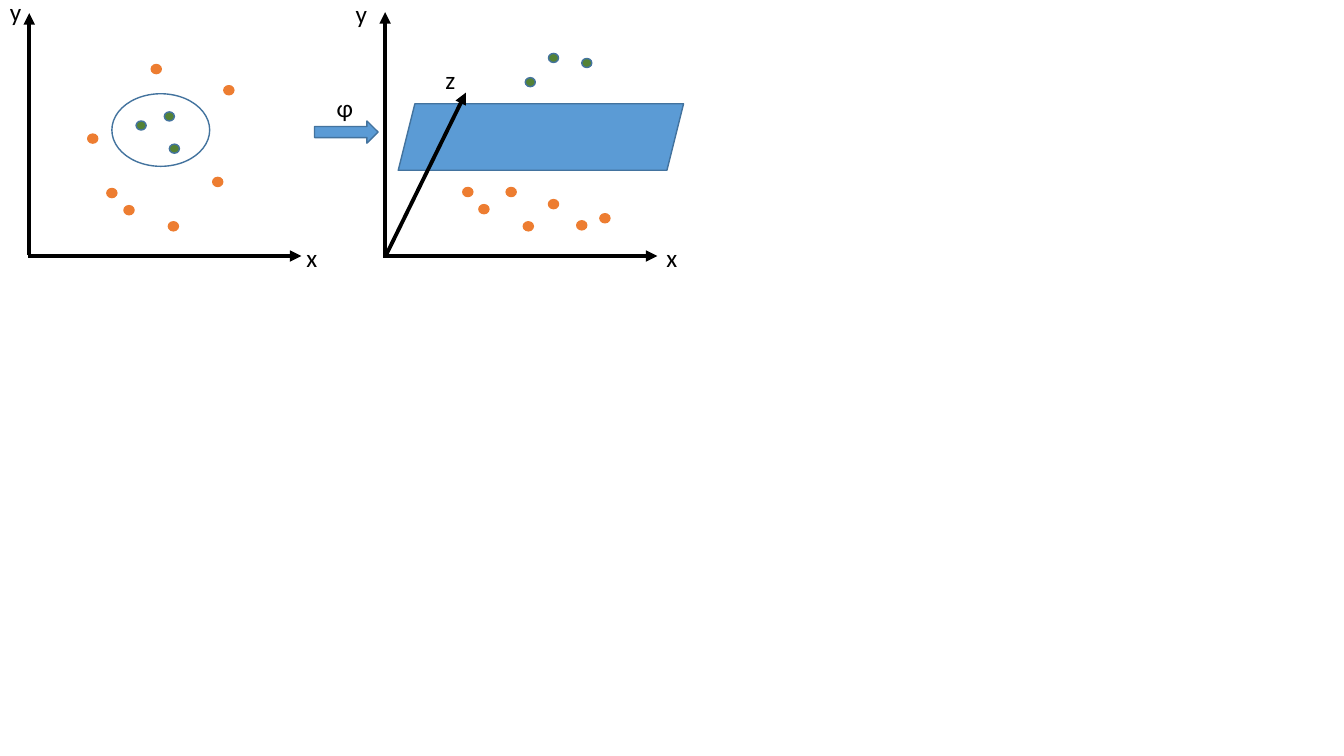
import pptx
import pptx.dml.color
import pptx.enum.shapes
import pptx.enum.text
import pptx.oxml
import pptx.oxml.ns
import pptx.util
from pptx.util import Inches

BLACK, BLUE, EDGE, GREEN, ORANGE = "000000", "5B9BD5", "43739E", "548235", "ED7D31"
FONT = "Calibri"
DOT_WIDTH, DOT_HEIGHT = 0.1, 0.09

# Left and top of each dot
INNER_POINTS = [(1.68, 1.43), (1.63, 1.11), (1.35, 1.2)]
OUTER_POINTS = [(2.11, 1.76), (2.22, 0.85), (1.5, 0.64), (1.06, 1.87),
                (1.23, 2.04), (1.67, 2.2), (0.87, 1.33)]
UPPER_POINTS = [(5.21, 0.77), (5.77, 0.58), (5.44, 0.53)]
LOWER_POINTS = [(5.44, 1.98), (5.72, 2.19), (5.02, 1.86), (4.59, 1.86),
                (4.75, 2.03), (5.19, 2.2), (5.95, 2.12)]
DOT_GROUPS = [
    (INNER_POINTS + UPPER_POINTS, GREEN, EDGE),
    (OUTER_POINTS + LOWER_POINTS, ORANGE, ORANGE),
]

# Start x, start y, end x, end y
FLAT_AXES = [(0.28, 2.54, 2.99, 2.54), (0.29, 2.53, 0.29, 0.13),
             (3.8, 2.54, 6.52, 2.54), (3.82, 2.52, 3.82, 0.12)]
DEPTH_AXIS = (3.82, 2.55, 4.62, 0.92)

# Left, top, width, height
PLANE = (3.95, 1.03, 2.83, 0.66)
MAPPING_ARROW = (3.12, 1.2, 0.63, 0.22)
BOUNDARY = (1.11, 0.93, 0.97, 0.72)

# Text, left, top, width
LABELS = [("φ", 3.24, 0.87, 0.37), ("x", 2.94, 2.35, 0.31), ("y", 0, -0.09, 0.32),
          ("x", 6.51, 2.35, 0.31), ("y", 3.43, -0.07, 0.32), ("z", 4.32, 0.59, 0.3)]
LABEL_HEIGHT = 0.4


def paint(color_format, value):
    color_format.rgb = pptx.dml.color.RGBColor.from_string(value)


def add_figure(page, kind, frame, fill, edge):
    """Add a preset shape; a fill of None leaves it hollow."""
    figure = page.shapes.add_shape(kind, *map(Inches, frame))
    figure.shadow.inherit = False
    if fill:
        figure.fill.solid()
        paint(figure.fill.fore_color, fill)
    else:
        figure.fill.background()
    paint(figure.line.color, edge)
    figure.line.width = pptx.util.Pt(1)


def add_axis(page, ends):
    axis = page.shapes.add_connector(
        pptx.enum.shapes.MSO_CONNECTOR.STRAIGHT, *map(Inches, ends))
    paint(axis.line.color, BLACK)
    axis.line.width = pptx.util.Pt(2.75)
    head = pptx.oxml.parse_xml(
        f'<a:tailEnd {pptx.oxml.ns.nsdecls("a")} type="triangle"/>')
    axis.line._get_or_add_ln().append(head)
    effects = pptx.oxml.parse_xml(f'<a:effectLst {pptx.oxml.ns.nsdecls("a")}/>')
    axis._element.spPr.append(effects)


def add_label(page, text, left, top, width):
    box = page.shapes.add_textbox(*map(Inches, (left, top, width, LABEL_HEIGHT)))
    frame = box.text_frame
    frame.word_wrap = False
    frame.auto_size = pptx.enum.text.MSO_AUTO_SIZE.SHAPE_TO_FIT_TEXT
    span = frame.paragraphs[0].add_run()
    span.text = text
    span.font.name = FONT
    span.font.size = pptx.util.Pt(18)
    paint(span.font.color, BLACK)


def main():
    deck = pptx.Presentation()
    deck.slide_width, deck.slide_height = Inches(13.33), Inches(7.5)
    page = deck.slides.add_slide(deck.slide_layouts[6])
    shapes = pptx.enum.shapes.MSO_SHAPE

    for axis in FLAT_AXES:
        add_axis(page, axis)
    add_figure(page, shapes.PARALLELOGRAM, PLANE, BLUE, EDGE)
    for points, fill, edge in DOT_GROUPS:
        for left, top in points:
            add_figure(page, shapes.OVAL, (left, top, DOT_WIDTH, DOT_HEIGHT), fill, edge)
    add_axis(page, DEPTH_AXIS)
    add_figure(page, shapes.RIGHT_ARROW, MAPPING_ARROW, BLUE, EDGE)
    for label in LABELS:
        add_label(page, *label)
    add_figure(page, shapes.OVAL, BOUNDARY, None, EDGE)

    deck.save("out.pptx")


if __name__ == "__main__":
    main()
